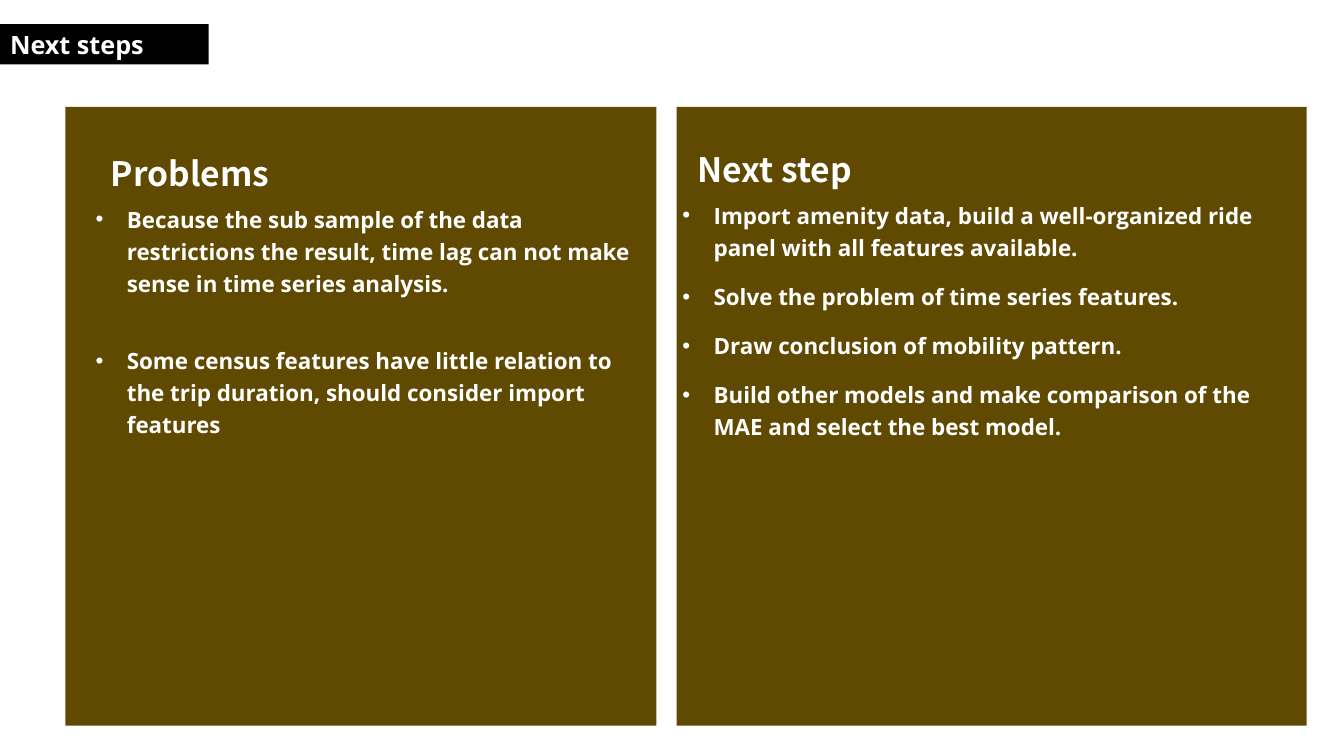
import pptx
import pptx.dml.color
import pptx.enum.shapes
import pptx.enum.text
import pptx.oxml
import pptx.oxml.ns
import pptx.util

# Content
TITLE = "Next steps"
PROBLEM_LAG = ["Because the sub sample of the data restrictions the result, "
               "time lag can not make sense in time series analysis."]
PROBLEM_CENSUS = ["Some census features have little relation to the trip duration, "
                  "should consider import features"]
NEXT_STEPS = [
    "Import amenity data, build a well-organized ride panel with all features available.",
    "Solve the problem of time series features.",
    "Draw conclusion of mobility pattern.",
    "Build other models and make comparison of the MAE and select the best model.",
]

# Layout in inches: left, top, width, height
WIDTH, HEIGHT = 13.33, 7.5
TITLE_BOX = (0, 0.24, 2.07, 0.4)
PANEL_TOP, PANEL_HEIGHT = 1.06, 6.14
PANELS = [(0.65, 5.86), (6.71, 6.25)]
HEADINGS = [("Problems", (1, 1.27, 4.86, 0.64)),
            ("Next step", (6.82, 1.23, 5.61, 0.64))]
LISTS = [(PROBLEM_LAG, (0.85, 1.94, 5.61, 1.05)),
         (PROBLEM_CENSUS, (0.85, 3.34, 5.61, 0.72)),
         (NEXT_STEPS, (6.67, 1.9, 6.17, 2.54))]
BULLET_INDENT = 0.31

# Formats
BROWN, BLACK, WHITE = "604900", "000000", "FFFFFF"
TITLE_FONT = {"name": "Open Sans", "size": pptx.util.Pt(18), "bold": True}
HEADING_FONT = {"name": "Noto Sans CJK SC", "size": pptx.util.Pt(24), "bold": True}
LIST_FONT = {"name": "Open Sans", "size": pptx.util.Pt(16), "bold": True}


def set_attributes(target, values):
    for name, value in values.items():
        setattr(target, name, value)


def set_color(color_format, color):
    color_format.rgb = pptx.dml.color.RGBColor.from_string(color)


def inches(box):
    return [pptx.util.Inches(length) for length in box]


def fill_shape(shape, color):
    shape.fill.solid()
    set_color(shape.fill.fore_color, color)
    shape.line.fill.background()


def add_bullet(paragraph):
    indent = pptx.util.Inches(BULLET_INDENT)
    properties = paragraph._p.get_or_add_pPr()
    properties.set("marL", str(indent))
    properties.set("indent", str(-indent))
    namespace = pptx.oxml.ns.nsdecls("a")
    for element in ('buFont %s typeface="Arial"', 'buChar %s char="•"'):
        properties.append(pptx.oxml.parse_xml(f"<a:{element % namespace}/>"))


def write_paragraphs(shape, texts, font, line_spacing=1.0, gap=0, bulleted=False):
    frame = shape.text_frame
    set_attributes(frame, {"word_wrap": True,
                           "auto_size": pptx.enum.text.MSO_AUTO_SIZE.NONE})
    for index, text in enumerate(texts):
        paragraph = frame.add_paragraph() if index else frame.paragraphs[0]
        set_attributes(paragraph, {"text": text, "line_spacing": line_spacing,
                                   "space_before": pptx.util.Pt(gap if index else 0),
                                   "alignment": pptx.enum.text.PP_ALIGN.LEFT})
        if bulleted:
            add_bullet(paragraph)
        set_attributes(paragraph.font, font)
        set_color(paragraph.font.color, WHITE)


def main():
    presentation = pptx.Presentation()
    presentation.slide_width, presentation.slide_height = inches((WIDTH, HEIGHT))
    slide = presentation.slides.add_slide(presentation.slide_layouts[5])

    # Title banner
    title = slide.shapes.title
    set_attributes(title, dict(zip(("left", "top", "width", "height"), inches(TITLE_BOX))))
    fill_shape(title, BLACK)
    write_paragraphs(title, [TITLE], TITLE_FONT)
    title.text_frame.vertical_anchor = pptx.enum.text.MSO_ANCHOR.MIDDLE

    # Panels
    for left, width in PANELS:
        panel = slide.shapes.add_shape(pptx.enum.shapes.MSO_SHAPE.RECTANGLE,
                                       *inches((left, PANEL_TOP, width, PANEL_HEIGHT)))
        panel.shadow.inherit = False
        fill_shape(panel, BROWN)

    # Headings and bullet lists
    for heading, box in HEADINGS:
        write_paragraphs(slide.shapes.add_textbox(*inches(box)), [heading],
                         HEADING_FONT, line_spacing=1.5)
    for texts, box in LISTS:
        write_paragraphs(slide.shapes.add_textbox(*inches(box)), texts, LIST_FONT,
                         line_spacing=1.2, gap=12, bulleted=True)

    presentation.save("out.pptx")


if __name__ == "__main__":
    main()
